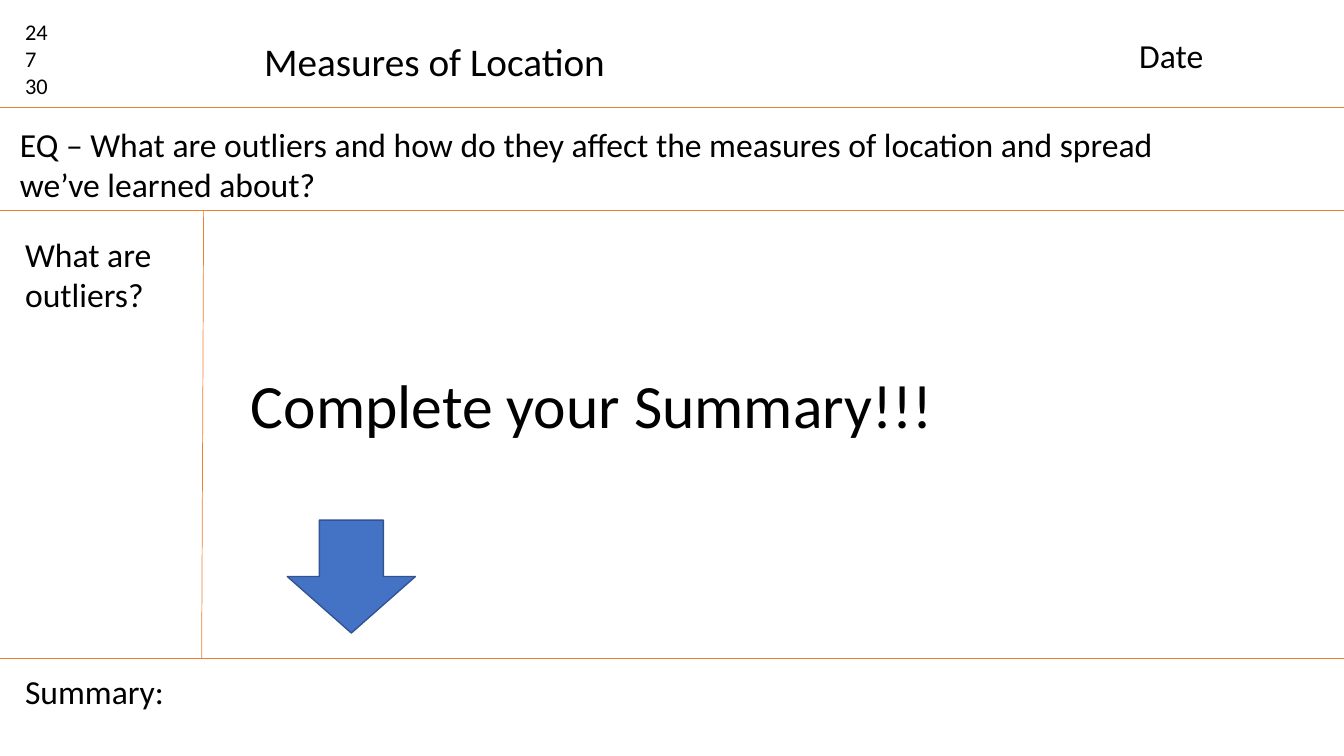
from collections import namedtuple

from lxml import etree
from pptx import Presentation
from pptx.dml.color import RGBColor
from pptx.enum.shapes import MSO_CONNECTOR, MSO_SHAPE
from pptx.enum.text import MSO_ANCHOR, MSO_AUTO_SIZE, PP_ALIGN
from pptx.oxml.ns import qn
from pptx.util import Inches, Pt

STRAIGHT = MSO_CONNECTOR.STRAIGHT
DOWN_ARROW = MSO_SHAPE.DOWN_ARROW
TOP = MSO_ANCHOR.TOP
LEFT = PP_ALIGN.LEFT
NO_AUTOFIT = MSO_AUTO_SIZE.NONE

ORANGE = RGBColor(0xED, 0x7D, 0x31)
BLUE = RGBColor(0x44, 0x72, 0xC4)
DARK_BLUE = RGBColor(0x32, 0x54, 0x91)
BLACK = RGBColor(0, 0, 0)

WIDTH, HEIGHT = 13.33, 7.5
HEADER_END, QUESTION_END, NOTES_END = 1.07, 2.09, 6.53
CUE_WIDTH = 2.02
MARGIN = 0.15

Box = namedtuple("Box", "left top width height")


def inside(region, left, top, width, height):
    """Return a box offset from the top left corner of a region."""
    return Box(region.left + left, region.top + top, width, height)


def write(shape, box, lines, size, wrap=True):
    """Place a text shape and fill it with one paragraph per line."""
    for name, value in box._asdict().items():
        setattr(shape, name, Inches(value))
    frame = shape.text_frame
    frame_format = {"auto_size": NO_AUTOFIT, "word_wrap": wrap, "vertical_anchor": TOP}
    for name, value in frame_format.items():
        setattr(frame, name, value)
    frame.text = "\n".join(lines)
    font_format = {"name": "Calibri", "size": Pt(size)}
    for para in frame.paragraphs:
        para.alignment = LEFT
        para.line_spacing = 1.0
        for run in para.runs:
            for name, value in font_format.items():
                setattr(run.font, name, value)
            run.font.color.rgb = BLACK


def add_text(page, box, lines, size, wrap=True):
    """Add a text box with the given lines."""
    shape = page.shapes.add_textbox(*(Inches(value) for value in box))
    write(shape, box, lines, size, wrap)


def add_rule(page, start, end):
    """Draw a thin orange line between two points."""
    points = [Inches(value) for value in (*start, *end)]
    rule = page.shapes.add_connector(STRAIGHT, *points)
    rule.line.color.rgb = ORANGE
    rule.line.width = Pt(0.5)
    etree.SubElement(rule._element.spPr, qn("a:effectLst"))


def add_header(page, region):
    """Fill the top band with the numbers, the title and the date."""
    add_text(page, inside(region, MARGIN, 0.13, 0.63, 0.91), ["24", "7", "30"], 16)
    title_box = inside(region, 2.52, 0.32, 3.62, 0.57)
    write(page.shapes.title, title_box, ["Measures of Location"], 28, wrap=False)
    add_text(page, inside(region, 11.2, 0.3, 1.73, 0.5), ["Date"], 24)


def add_question(page, region):
    """Fill the second band with the essential question."""
    question = ("EQ – What are outliers and how do they affect the measures of "
                "location and spread we’ve learned about?")
    add_text(page, inside(region, 0.1, 0.11, 11.6, 0.91), [question], 24)


def add_notes(page, region):
    """Fill the middle band with the cue column, the prompt and the arrow."""
    bottom = region.top + region.height
    add_rule(page, (CUE_WIDTH, region.top), (CUE_WIDTH - 0.02, bottom))
    add_text(page, inside(region, MARGIN, 0.18, 1.91, 0.91), ["What are outliers?"], 24)
    prompt_box = inside(region, 2.39, 1.5, 7.04, 0.84)
    add_text(page, prompt_box, ["Complete your Summary!!!"], 44, wrap=False)
    arrow_box = inside(region, 2.85, 3.07, 1.27, 1.12)
    arrow = page.shapes.add_shape(DOWN_ARROW, *(Inches(value) for value in arrow_box))
    arrow.shadow.inherit = False
    arrow.fill.solid()
    arrow.fill.fore_color.rgb = BLUE
    arrow.line.color.rgb = DARK_BLUE
    arrow.line.width = Pt(1)


def add_summary(page, region):
    """Label the bottom band."""
    add_text(page, inside(region, MARGIN, 0.08, 1.67, 0.5), ["Summary:"], 24, wrap=False)


def main():
    """Build the note-taking slide from its four bands."""
    deck = Presentation()
    deck.slide_width, deck.slide_height = Inches(WIDTH), Inches(HEIGHT)
    page = deck.slides.add_slide(deck.slide_layouts.get_by_name("Title Only"))
    edges = [0, HEADER_END, QUESTION_END, NOTES_END, HEIGHT]
    fillers = [add_header, add_question, add_notes, add_summary]
    for fill_band, top, bottom in zip(fillers, edges, edges[1:]):
        fill_band(page, Box(0, top, WIDTH, bottom - top))
    for edge in edges[1:-1]:
        add_rule(page, (0, edge), (WIDTH, edge))
    deck.save("out.pptx")


if __name__ == "__main__":
    main()
